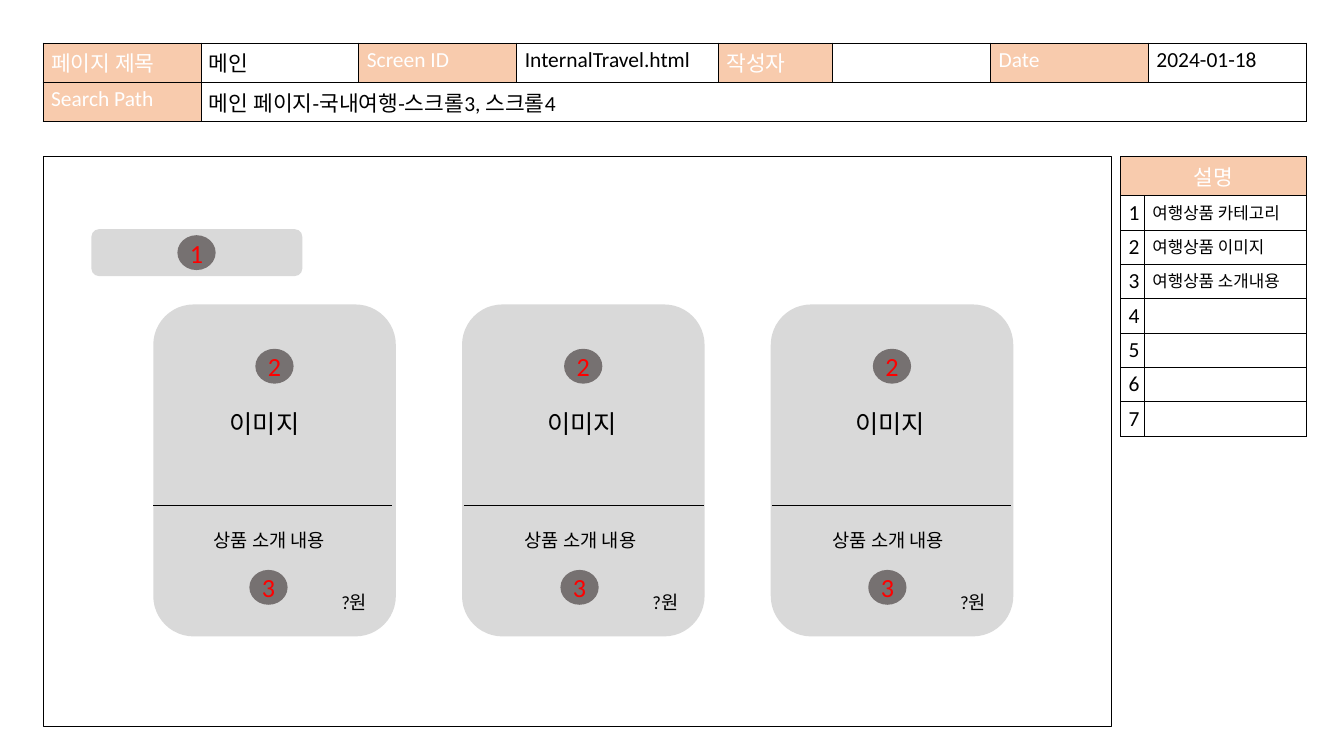
from dataclasses import dataclass

from lxml import etree
from pptx import Presentation
from pptx.dml.color import RGBColor
from pptx.enum import shapes, text
from pptx.oxml import ns
from pptx.util import Pt

FONT = "Calibri"
BLACK, WHITE, RED = "000000", "FFFFFF", "FF0000"
PEACH, LIGHT_GRAY, DARK_GRAY = "F8CBAD", "D9D9D9", "767171"
ROW_HEIGHT = 36.36
LEFT, CENTER = text.PP_ALIGN.LEFT, text.PP_ALIGN.CENTER
ROUNDED = shapes.MSO_SHAPE.FLOWCHART_ALTERNATE_PROCESS


@dataclass
class Box:
    left: float
    top: float
    width: float
    height: float

    def lengths(self):
        return [Pt(v) for v in (self.left, self.top, self.width, self.height)]


@dataclass
class CellText:
    words: str
    size: float = 23
    color: str = BLACK
    fill: str | None = None
    align: text.PP_ALIGN = LEFT


@dataclass
class ProductCard:
    left: float
    image_label_left: float
    details_left: float


def rgb(value: str) -> RGBColor:
    return RGBColor.from_string(value)


def write(frame, words: str, size: float, color: str, align=LEFT) -> None:
    frame.text = words
    paragraph = frame.paragraphs[0]
    paragraph.alignment = align
    for run in paragraph.runs:
        run.font.name, run.font.size = FONT, Pt(size)
        run.font.color.rgb = rgb(color)


def add_panel(slide, kind, box: Box, fill=None, line=None):
    panel = slide.shapes.add_shape(kind, *box.lengths())
    panel.shadow.inherit = False
    if fill:
        panel.fill.solid()
        panel.fill.fore_color.rgb = rgb(fill)
    else:
        panel.fill.background()
    if line:
        panel.line.color.rgb = rgb(line)
        panel.line.width = Pt(1)
    else:
        panel.line.fill.background()
    return panel


def add_badge(slide, number: str, left: float, top: float) -> None:
    badge = add_panel(slide, shapes.MSO_SHAPE.FLOWCHART_CONNECTOR,
                      Box(left, top, 41, 37.4), DARK_GRAY)
    frame = badge.text_frame
    frame.margin_left = frame.margin_right = 0
    frame.margin_top = frame.margin_bottom = 0
    frame.vertical_anchor = text.MSO_ANCHOR.MIDDLE
    write(frame, number, 28, RED, CENTER)


def add_label(slide, words: str, size: float, box: Box) -> None:
    frame = slide.shapes.add_textbox(*box.lengths()).text_frame
    frame.word_wrap = True
    frame.auto_size = text.MSO_AUTO_SIZE.SHAPE_TO_FIT_TEXT
    write(frame, words, size, BLACK)


def add_divider(slide, left: float, top: float, width: float) -> None:
    divider = slide.shapes.add_connector(
        shapes.MSO_CONNECTOR.STRAIGHT, Pt(left), Pt(top), Pt(left + width), Pt(top))
    divider.line.color.rgb = rgb(BLACK)
    divider.line.width = Pt(0.5)
    etree.SubElement(divider._element.spPr, ns.qn("a:effectLst"))


def add_borders(cell) -> None:
    properties = cell._tc.get_or_add_tcPr()
    for side in ("lnL", "lnR", "lnT", "lnB"):
        border = etree.SubElement(properties, ns.qn(f"a:{side}"), w=str(Pt(1)))
        fill = etree.SubElement(border, ns.qn("a:solidFill"))
        etree.SubElement(fill, ns.qn("a:srgbClr"), val=BLACK)


def add_grid(slide, left: float, top: float, widths: list[float],
             rows: list[list[CellText]]) -> None:
    """Draw a bordered table; a row shorter than the grid spans its last cell."""
    box = Box(left, top, sum(widths), ROW_HEIGHT * len(rows))
    table = slide.shapes.add_table(len(rows), len(widths), *box.lengths()).table
    table.first_row = table.horz_banding = False
    for column, width in zip(table.columns, widths):
        column.width = Pt(width)
    for r, row in enumerate(rows):
        table.rows[r].height = Pt(ROW_HEIGHT)
        for c in range(len(widths)):
            cell = table.cell(r, c)
            content = row[c] if c < len(row) else CellText("")
            cell.margin_left = cell.margin_right = Pt(8.6)
            cell.margin_top = cell.margin_bottom = Pt(4.3)
            add_borders(cell)
            if content.fill:
                cell.fill.solid()
                cell.fill.fore_color.rgb = rgb(content.fill)
            else:
                cell.fill.background()
            if content.words:
                write(cell.text_frame, content.words, content.size,
                      content.color, content.align)
        if len(row) < len(widths):
            table.cell(r, len(row) - 1).merge(table.cell(r, len(widths) - 1))


def heading(words: str, align=LEFT) -> CellText:
    return CellText(words, color=WHITE, fill=PEACH, align=align)


def add_card_details(slide, left: float) -> None:
    add_badge(slide, "3", left + 103, 610.6)
    add_label(slide, "상품 소개 내용", 20, Box(left + 57.6, 563, 144.7, 31.7))
    add_label(slide, "?원", 20, Box(left + 194.4, 629.3, 43.9, 31.7))
    add_divider(slide, left, 541.4, 256.3)


def main() -> None:
    deck = Presentation()
    deck.slide_width, deck.slide_height = Pt(1440), Pt(810)
    slide = deck.slides.add_slide(deck.slide_layouts[6])

    page_info = [("페이지 제목", "메인"), ("Screen ID", "InternalTravel.html"),
                 ("작성자", ""), ("Date", "2024-01-18")]
    info_row = [cell for name, value in page_info
                for cell in (heading(name), CellText(value))]
    path_row = [heading("Search Path"),
                CellText("메인 페이지-국내여행-스크롤3, 스크롤4")]
    add_grid(slide, 46.1, 46.1,
             [169.2, 169.2, 169.2, 216, 122.4, 169.2, 169.2, 169.2],
             [info_row, path_row])

    descriptions = ["여행상품 카테고리", "여행상품 이미지", "여행상품 소개내용",
                    "", "", "", ""]
    description_rows = [[CellText(str(number), align=CENTER), CellText(words, 18)]
                        for number, words in enumerate(descriptions, 1)]
    add_grid(slide, 1200.6, 167.8, [25.5, 173.7],
             [[heading("설명", CENTER)], *description_rows])

    add_panel(slide, shapes.MSO_SHAPE.RECTANGLE,
              Box(46.1, 167.8, 1144.8, 610.6), line=BLACK)
    add_panel(slide, ROUNDED, Box(97.9, 245.5, 226.1, 50.4), LIGHT_GRAY)
    add_badge(slide, "1", 190.1, 252)

    cards = [ProductCard(164.2, 239, 164.2),
             ProductCard(495, 579.6, 497.5),
             ProductCard(825.8, 909.4, 827.3)]
    for card in cards:
        add_panel(slide, ROUNDED, Box(card.left, 326.2, 259.9, 355.7), LIGHT_GRAY)
        add_badge(slide, "2", card.left + 109.4, 373.7)
        add_card_details(slide, card.details_left)
        add_label(slide, "이미지", 27, Box(card.image_label_left, 434.2, 96.5, 40.3))

    deck.save("out.pptx")


if __name__ == "__main__":
    main()
